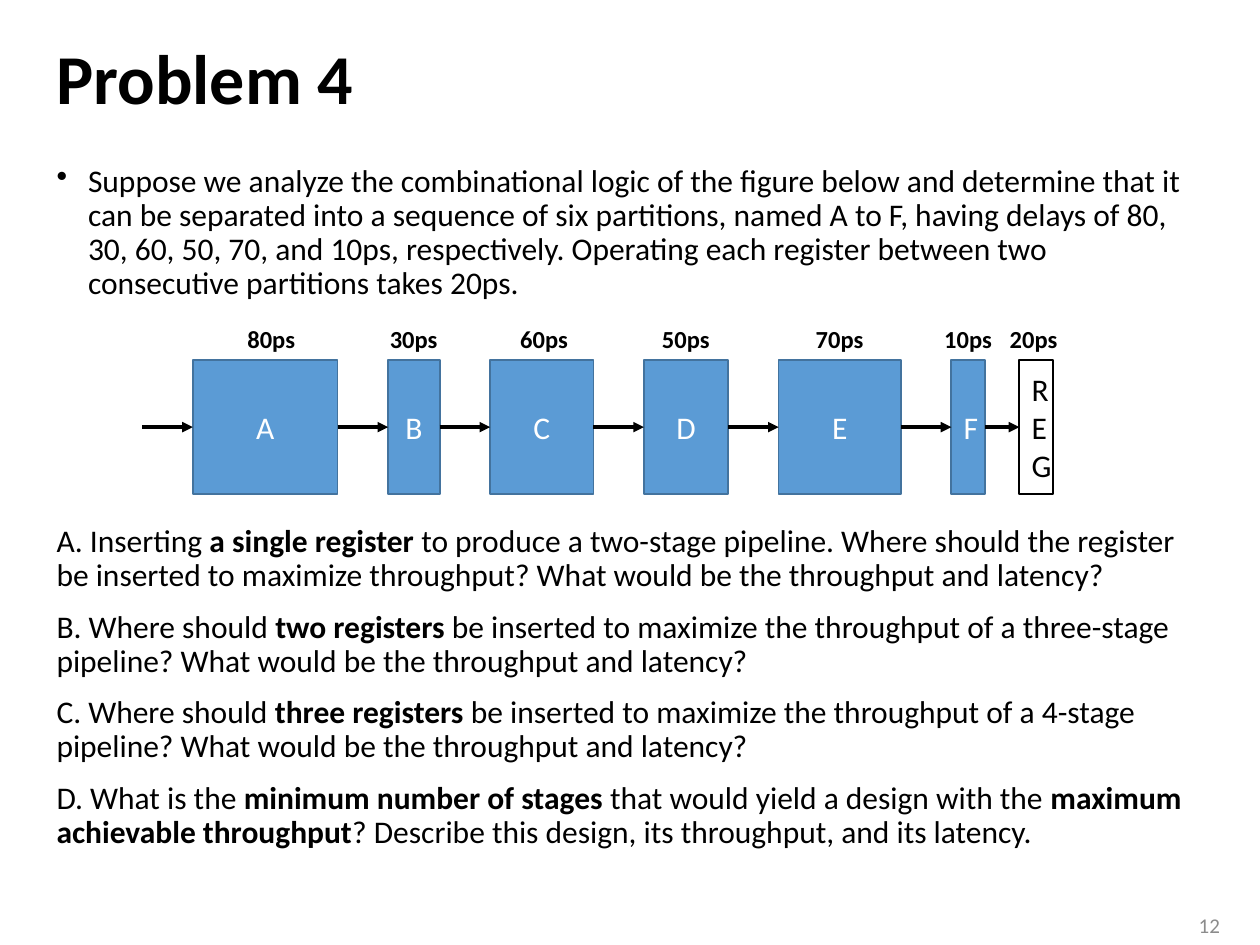
"""Builds the Problem 4 slide: a six-part pipeline and four questions."""
from dataclasses import dataclass
from typing import Any

from lxml.etree import SubElement
from pptx import Presentation
from pptx.dml.color import RGBColor
from pptx.enum.shapes import MSO_CONNECTOR, MSO_SHAPE
from pptx.enum.text import MSO_ANCHOR, PP_ALIGN
from pptx.oxml.ns import qn
from pptx.util import Emu, Inches, Pt


@dataclass(frozen=True)
class Theme:
    font: str = "Calibri"
    ink: str = "000000"
    paper: str = "FFFFFF"
    block: str = "5B9BD5"
    edge: str = "43739E"
    muted: str = "8C8C8C"
    head: int = 40
    body: int = 18
    label: int = 14
    foot: int = 12


@dataclass(frozen=True)
class Part:
    name: str
    delay: int
    width: float
    gap: float = 4
    nudge: float = 0
    store: bool = False


@dataclass(frozen=True)
class Style:
    size: int
    color: str
    bold: bool | None = None
    align: PP_ALIGN = PP_ALIGN.LEFT
    anchor: MSO_ANCHOR = MSO_ANCHOR.TOP
    wrap: bool = True
    line: float = 1
    space: int = 0


THEME = Theme()
WIDE, HIGH = Inches(10), Inches(7.5)
COLS, ROWS = 100, 75
MARGIN, SPAN = 3.5, 92.9
TOP, TALL = 28.6, 10.6
START = 11.3
LABEL = (5.8, 3.4)

PARTS = [
    Part("A", 80, 11.5, nudge=0.5),
    Part("B", 30, 4.1),
    Part("C", 60, 8.2, nudge=0.2),
    Part("D", 50, 6.7),
    Part("E", 70, 9.7),
    Part("F", 10, 2.7),
    Part("R\nE\nG", 20, 2.7, gap=2.7, nudge=-0.2, store=True),
]
INTRO = (
    "Suppose we analyze the combinational logic of the figure below and "
    "determine that it can be separated into a sequence of six partitions, "
    "named A to F, having delays of 80, 30, 60, 50, 70, and 10ps, "
    "respectively. Operating each register between two consecutive "
    "partitions takes 20ps."
)
TASKS = [
    "A. Inserting *a single register *to produce a two-stage pipeline. Where "
    "should the register be inserted to maximize throughput? What would be "
    "the throughput and latency?",
    "B. Where should *two registers *be inserted to maximize the throughput "
    "of a three-stage pipeline? What would be the throughput and latency?",
    "C. Where should *three registers *be inserted to maximize the throughput "
    "of a 4-stage pipeline? What would be the throughput and latency?",
    "D. What is the *minimum number of stages *that would yield a design with "
    "the *maximum achievable throughput*? Describe this design, its "
    "throughput, and its latency.",
]


def col(count: float) -> Emu:
    """Return the length of some grid columns."""
    return Emu(round(WIDE * count / COLS))


def row(count: float) -> Emu:
    """Return the length of some grid rows."""
    return Emu(round(HIGH * count / ROWS))


def place(x: float, y: float, w: float, h: float) -> tuple[Emu, Emu, Emu, Emu]:
    """Turn grid units into left, top, width and height."""
    return col(x), row(y), col(w), row(h)


def write(shape: Any, lines: list[str], style: Style) -> None:
    """Fill a shape with paragraphs, with starred spans in bold."""
    frame = shape.text_frame
    frame.word_wrap = style.wrap
    frame.vertical_anchor = style.anchor
    for spot, line in enumerate(lines):
        para = frame.add_paragraph() if spot else frame.paragraphs[0]
        para.alignment = style.align
        para.line_spacing = style.line
        para.space_before = Pt(style.space)
        font = para.font
        font.name, font.size, font.bold = THEME.font, Pt(style.size), style.bold
        font.color.rgb = RGBColor.from_string(style.color)
        for turn, words in enumerate(line.split("*")):
            run = para.add_run()
            run.text = words
            if turn % 2:
                run.font.bold = True


def text(shapes: Any, area: tuple, lines: list[str], style: Style) -> Any:
    """Add a text box and return it."""
    box = shapes.add_textbox(*area)
    write(box, lines, style)
    return box


def bullet(box: Any) -> None:
    """Give the first paragraph a hanging bullet."""
    props = box.text_frame.paragraphs[0]._p.get_or_add_pPr()
    props.set("marL", str(Inches(0.25)))
    props.set("indent", str(-Inches(0.25)))
    mark = props.makeelement(qn("a:buChar"), {"char": "•"})
    props.insert_element_before(mark, "a:tabLst", "a:defRPr", "a:extLst")


def block(shapes: Any, part: Part, x: float) -> Any:
    """Draw one part with its delay above it."""
    shape = shapes.add_shape(MSO_SHAPE.RECTANGLE, *place(x, TOP, part.width, TALL))
    shape.shadow.inherit = False
    fill, edge, ink = (
        (THEME.paper, THEME.ink, THEME.ink) if part.store
        else (THEME.block, THEME.edge, THEME.paper)
    )
    shape.fill.solid()
    shape.fill.fore_color.rgb = RGBColor.from_string(fill)
    shape.line.color.rgb = RGBColor.from_string(edge)
    shape.line.width = Pt(1)
    write(shape, part.name.split("\n"), Style(
        THEME.body, ink, align=PP_ALIGN.CENTER, anchor=MSO_ANCHOR.MIDDLE))
    wide, tall = LABEL
    left = x + (part.width - wide) / 2 + part.nudge
    text(shapes, place(left, TOP - tall, wide, tall), [f"{part.delay}ps"],
         Style(THEME.label, THEME.ink, bold=True, wrap=False))
    return shape


def arrow(shapes: Any, x: float, end: float, prior: Any, target: Any) -> None:
    """Draw an arrow into a part, from the prior part if there is one."""
    mid = row(TOP + TALL / 2)
    link = shapes.add_connector(MSO_CONNECTOR.STRAIGHT, col(x), mid, col(end), mid)
    if prior is not None:
        link.begin_connect(prior, 3)
    link.end_connect(target, 1)
    link.line.color.rgb = RGBColor.from_string(THEME.ink)
    link.line.width = Pt(2)
    SubElement(link.line._get_or_add_ln(), qn("a:tailEnd"), type="triangle")
    SubElement(link._element.spPr, qn("a:effectLst"))


def chain(shapes: Any) -> None:
    """Draw the parts from left to right, joined by arrows."""
    x, prior = START, None
    for part in PARTS:
        left = x + part.gap
        shape = block(shapes, part, left)
        arrow(shapes, x, left, prior, shape)
        x, prior = left + part.width, shape


def main() -> None:
    """Build and save the slide."""
    deck = Presentation()
    deck.slide_width, deck.slide_height = WIDE, HIGH
    shapes = deck.slides.add_slide(deck.slide_layouts[6]).shapes
    body = Style(THEME.body, THEME.ink, line=0.9, space=10)
    text(shapes, place(MARGIN, 1.9, SPAN, 9.2), ["Problem 4"], Style(
        THEME.head, THEME.ink, bold=True, anchor=MSO_ANCHOR.MIDDLE, line=0.9))
    bullet(text(shapes, place(MARGIN, 12.6, SPAN, 12), [INTRO], body))
    text(shapes, place(MARGIN, 41.2, SPAN, 29.7), TASKS, body)
    text(shapes, place(92.7, 71.9, 5.1, 3.1), ["12"], Style(
        THEME.foot, THEME.muted, align=PP_ALIGN.RIGHT, anchor=MSO_ANCHOR.MIDDLE))
    chain(shapes.add_group_shape().shapes)
    deck.save("out.pptx")


if __name__ == "__main__":
    main()
